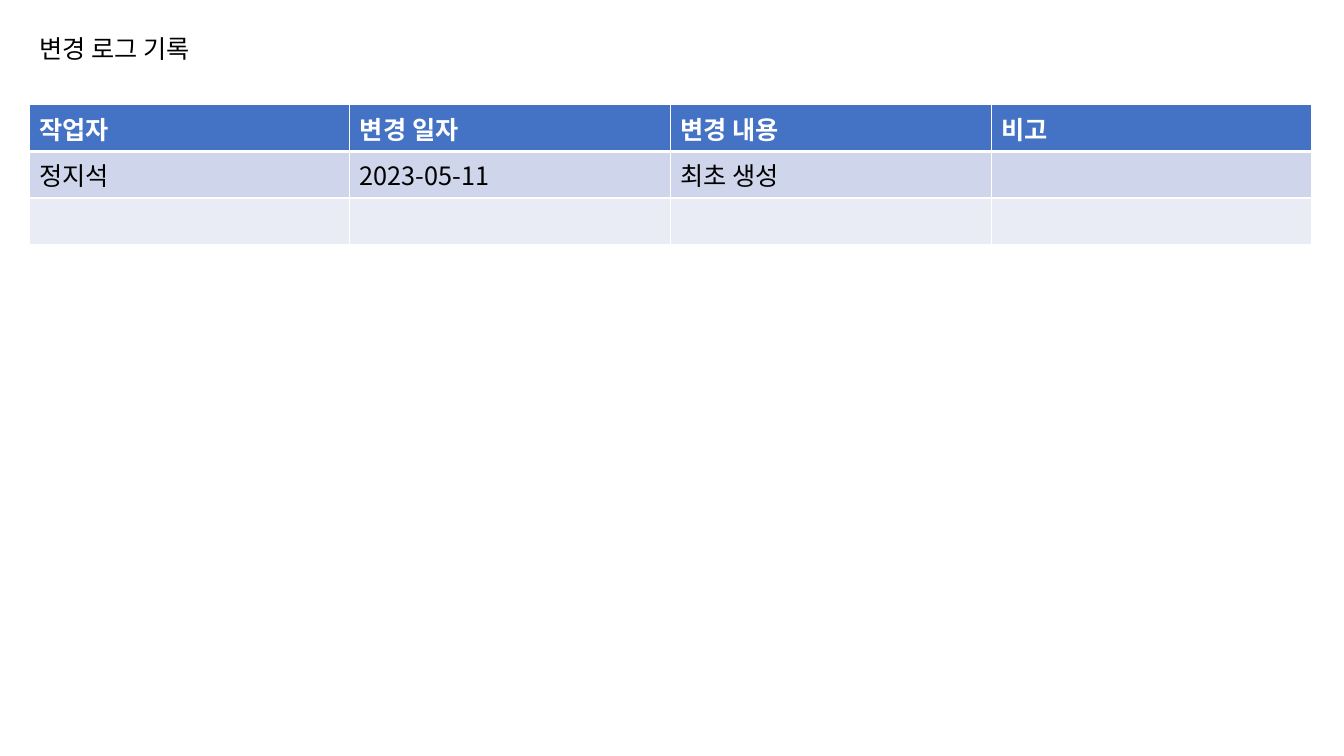
from lxml import etree
from pptx import Presentation
from pptx.dml.color import RGBColor
from pptx.enum.text import MSO_AUTO_SIZE as AutoSize
from pptx.oxml.ns import qn
from pptx.util import Inches, Pt

FONT = "Noto Sans CJK KR"
TEXT_SIZE = 18
HEADER_FILL = "4472C4"
BAND_FILLS = ("CFD5EA", "E9EBF5")
WHITE, BLACK = "FFFFFF", "000000"

LOG_ROWS = [
    ["작업자", "변경 일자", "변경 내용", "비고"],
    ["정지석", "2023-05-11", "최초 생성", ""],
    ["", "", "", ""],
]


def rgb(value):
    return RGBColor.from_string(value)


def write(frame, text, color, bold=False):
    """Fill a one-line text frame; an empty one keeps the font for its line height."""
    para = frame.paragraphs[0]
    para.text = text
    for span in para.runs:
        span.font.size = Pt(TEXT_SIZE)
        span.font.name = FONT
        span.font.bold = bold
        span.font.color.rgb = rgb(color)
        etree.SubElement(span.font._element, qn("a:ea"), typeface=FONT)
    if not text:
        end = etree.SubElement(para._p, qn("a:endParaRPr"), sz=str(TEXT_SIZE * 100))
        for tag in ("a:latin", "a:ea"):
            etree.SubElement(end, qn(tag), typeface=FONT)


def add_borders(cell, widths):
    """Draw white borders; widths maps the side letters L, R, T, B to points."""
    props = cell._tc.get_or_add_tcPr()
    for side, width in widths.items():
        line = etree.SubElement(props, qn(f"a:ln{side}"), w=str(Pt(width)))
        fill = etree.SubElement(line, qn("a:solidFill"))
        etree.SubElement(fill, qn("a:srgbClr"), val=WHITE)


def add_title(page, left, top, width, height):
    box = page.shapes.add_textbox(Inches(left), Inches(top), Inches(width), Inches(height))
    frame = box.text_frame
    frame.word_wrap = False
    frame.auto_size = AutoSize.SHAPE_TO_FIT_TEXT
    write(frame, "변경 로그 기록", BLACK)


def add_log_table(page, left, top, width, height):
    table = page.shapes.add_table(
        len(LOG_ROWS), len(LOG_ROWS[0]),
        Inches(left), Inches(top), Inches(width), Inches(height),
    ).table
    for row, texts in enumerate(LOG_ROWS):
        header = row == 0
        fill = HEADER_FILL if header else BAND_FILLS[(row - 1) % 2]
        for column, text in enumerate(texts):
            cell = table.cell(row, column)
            write(cell.text_frame, text, WHITE if header else BLACK, header)
            add_borders(cell, {"L": 1, "R": 1, "T": 3 if row == 1 else 1, "B": 3 if header else 1})
            cell.fill.solid()
            cell.fill.fore_color.rgb = rgb(fill)


def main():
    deck = Presentation()
    deck.slide_width, deck.slide_height = Inches(13.33), Inches(7.5)
    page = deck.slides.add_slide(deck.slide_layouts[6])
    add_log_table(page, 0.29, 1.04, 12.72, 1.22)
    add_title(page, 0.29, 0.28, 1.9, 0.4)
    deck.save("out.pptx")


if __name__ == "__main__":
    main()
